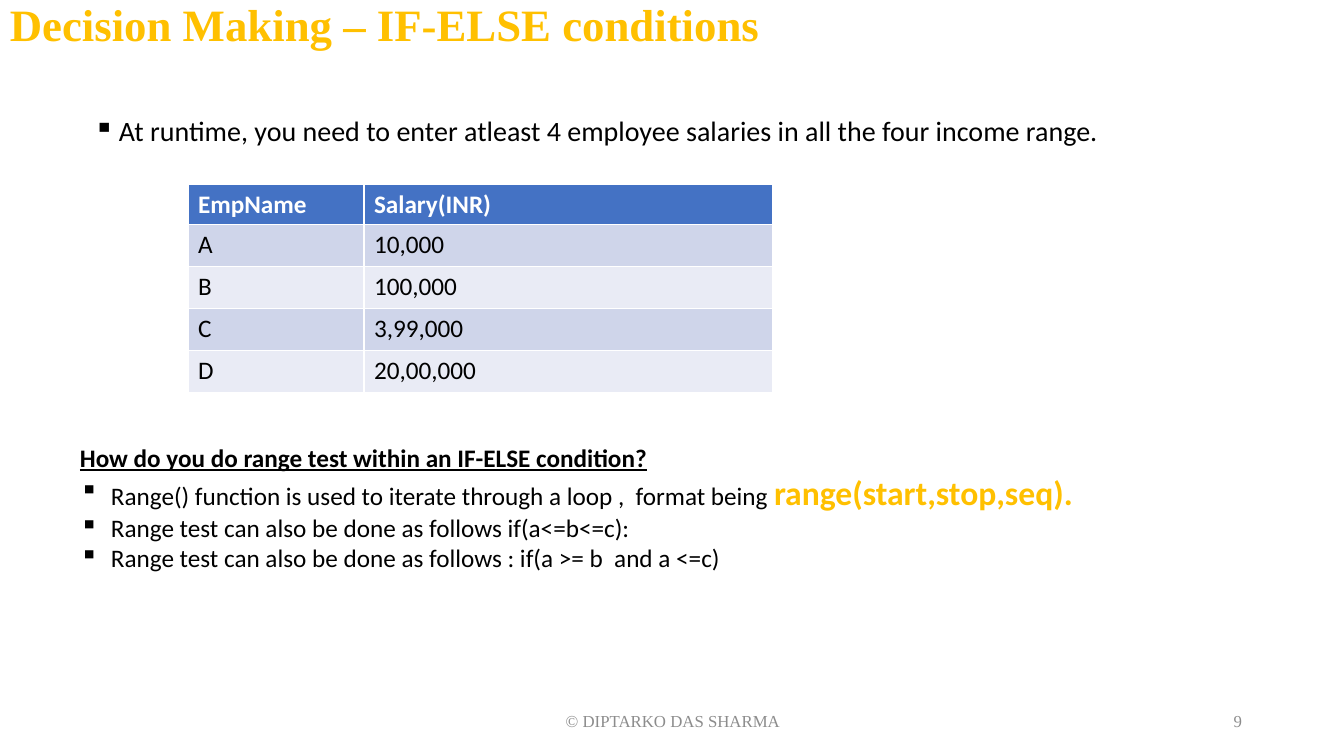
from lxml.etree import SubElement
from pptx import Presentation
from pptx.dml.color import RGBColor
from pptx.enum.text import MSO_ANCHOR, PP_ALIGN
from pptx.oxml.ns import qn
from pptx.util import Emu, Pt

SERIF, SANS = "Times New Roman", "Calibri"
GOLD, BLACK, GREY, WHITE = "FFC000", "000000", "8C8C8C", "FFFFFF"
HEADER_FILL, BAND_FILLS = "4472C4", ("CFD5EA", "E9EBF5")

TITLE = "Decision Making – IF-ELSE conditions"
TASK = "At runtime, you need to enter atleast 4 employee salaries in all the four income range."
SALARIES = [
    ("EmpName", "Salary(INR)"),
    ("A", "10,000"),
    ("B", "100,000"),
    ("C", "3,99,000"),
    ("D", "20,00,000"),
]
QUESTION = "How do you do range test within an IF-ELSE condition?"
ANSWERS = [
    ("Range() function is used to iterate through a loop ,  format being ", "range(start,stop,seq)."),
    ("Range test can also be done as follows if(a<=b<=c):", ""),
    ("Range test can also be done as follows : if(a >= b  and a <=c)", ""),
]
FOOTERS = [
    ("9", (950, 701, 302, 40), PP_ALIGN.RIGHT),
    ("© DIPTARKO DAS SHARMA", (446, 701, 454, 40), PP_ALIGN.CENTER),
]
TABLE_AT = (188, 184)
COLUMN_WIDTHS = (176, 409)
HEADER_HEIGHT, ROW_HEIGHT = 40, 42


def px(length):
    return Emu(round(length * 914400 / 100.8))


def color(value):
    return RGBColor.from_string(value)


def style(font, size, name, fill, bold=False):
    font.size, font.name, font.bold = Pt(size), name, bold
    font.color.rgb = color(fill)


def add_frame(page, at, anchor=MSO_ANCHOR.TOP):
    frame = page.shapes.add_textbox(*map(px, at)).text_frame
    frame.word_wrap = True
    frame.vertical_anchor = anchor
    return frame


def add_bullet(para, indent):
    properties = para._p.get_or_add_pPr()
    properties.set("marL", str(px(indent)))
    properties.set("indent", str(-px(indent)))
    SubElement(properties, qn("a:buChar")).set("char", "▪")


def add_title(page):
    para = add_frame(page, (0, 0, 786, 54), MSO_ANCHOR.MIDDLE).paragraphs[0]
    para.text, para.line_spacing = TITLE, 0.9
    style(para.font, 32, SERIF, GOLD, True)


def add_task(page):
    para = add_frame(page, (84, 112, 1129, 564)).paragraphs[0]
    para.text, para.line_spacing, para.space_before = TASK, 0.9, Pt(10)
    add_bullet(para, 25)
    style(para.font, 20, SANS, BLACK)


def add_salaries(page):
    heights = [HEADER_HEIGHT] + [ROW_HEIGHT] * (len(SALARIES) - 1)
    size = (sum(COLUMN_WIDTHS), sum(heights))
    table = page.shapes.add_table(
        len(SALARIES), len(COLUMN_WIDTHS), *map(px, TABLE_AT + size)
    ).table
    for column, width in zip(table.columns, COLUMN_WIDTHS):
        column.width = px(width)
    for index, values in enumerate(SALARIES):
        header = index == 0
        table.rows[index].height = px(heights[index])
        for cell, value in zip(table.rows[index].cells, values):
            cell.text = value
            cell.fill.solid()
            cell.fill.fore_color.rgb = color(HEADER_FILL if header else BAND_FILLS[(index - 1) % 2])
            style(cell.text_frame.paragraphs[0].font, 18, SANS, WHITE if header else BLACK, header)


def add_answers(page):
    frame = add_frame(page, (70, 437, 1140, 142))
    question = frame.paragraphs[0]
    question.text = QUESTION
    style(question.font, 18, SANS, BLACK, True)
    question.font.underline = True
    for answer, emphasis in ANSWERS:
        para = frame.add_paragraph()
        add_bullet(para, 31)
        style(para.font, 18, SANS, BLACK)
        para.add_run().text = answer
        if emphasis:
            span = para.add_run()
            span.text = emphasis
            style(span.font, 24, SANS, GOLD, True)


def add_footers(page):
    for text, at, alignment in FOOTERS:
        para = add_frame(page, at, MSO_ANCHOR.MIDDLE).paragraphs[0]
        para.text, para.alignment = text, alignment
        style(para.font, 12, SERIF, GREY)


def main():
    deck = Presentation()
    deck.slide_width, deck.slide_height = px(1344), px(756)
    page = deck.slides.add_slide(deck.slide_layouts[6])
    add_title(page)
    add_task(page)
    add_salaries(page)
    add_answers(page)
    add_footers(page)
    deck.save("out.pptx")


if __name__ == "__main__":
    main()
